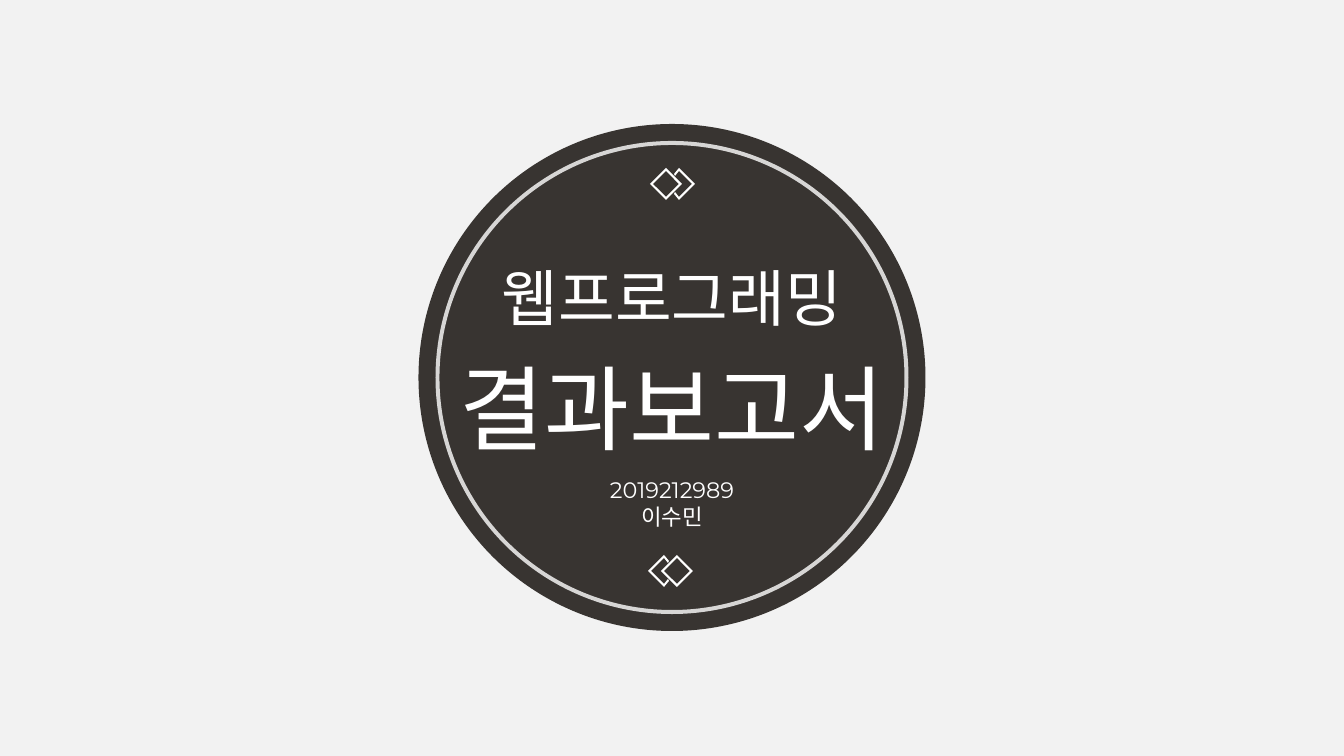
from lxml.etree import SubElement
from pptx import Presentation
from pptx.dml.color import RGBColor
from pptx.enum.shapes import MSO_SHAPE
from pptx.enum.text import MSO_ANCHOR, PP_ALIGN
from pptx.oxml.ns import qn
from pptx.util import Pt

EMU_PER_PX = 914400 / 100.8
WIDTH, HEIGHT = 1344, 756
CENTER_X = WIDTH // 2
WHITE = RGBColor(0xFF, 0xFF, 0xFF)
CHARCOAL = RGBColor(0x38, 0x34, 0x31)
LIGHT_GRAY = RGBColor(0xF2, 0xF2, 0xF2)

CHEVRON = [(0, 13), (-13, 0), (0, -13), (4, -8), (5, -10),
           (0, -16), (-16, 0), (0, 16), (5, 10), (4, 8)]


def px(n):
    return round(n * EMU_PER_PX)


def diamond(radius, turn=1):
    """Corner points around the origin; turn -1 reverses their order."""
    return [(0, -radius), (-turn * radius, 0), (0, radius), (turn * radius, 0)]


class Cover:
    """Draws white elements centred on the cover slide."""

    def __init__(self, prs):
        self.slide = prs.slides.add_slide(prs.slide_layouts[6])
        self.shapes = self.slide.shapes
        fill = self.slide.background.fill
        fill.solid()
        fill.fore_color.rgb = LIGHT_GRAY

    def paint(self, sp, color):
        sp.shadow.inherit = False
        sp.fill.solid()
        sp.fill.fore_color.rgb = color
        sp.line.fill.background()
        return sp

    def round_shape(self, kind, top, size, color):
        sp = self.shapes.add_shape(kind, px(CENTER_X - size / 2), px(top),
                                   px(size), px(size))
        return self.paint(sp, color)

    def ring(self, top, size, thickness, opacity):
        sp = self.round_shape(MSO_SHAPE.DONUT, top, size, WHITE)
        sp.adjustments[0] = thickness / size
        color = sp.fill._xPr.find(qn("a:solidFill"))[0]
        SubElement(color, qn("a:alpha"), val=str(opacity * 1000))

    def outline(self, x, y, *contours):
        """Fill the closed contours, given relative to (x, y)."""
        placed = [[(x + dx, y + dy) for dx, dy in c] for c in contours]
        builder = self.shapes.build_freeform(*placed[0][0], scale=EMU_PER_PX)
        for i, points in enumerate(placed):
            if i:
                builder.move_to(*points[0])
            builder.add_line_segments(points[1:], close=True)
        self.paint(builder.convert_to_shape(), WHITE)

    def ornament(self, x, y, side):
        """A diamond with a chevron behind it: side -1 left, 1 right."""
        chevron = [(-side * dx, dy) for dx, dy in CHEVRON]
        self.outline(x + side * 13, y, chevron)
        self.outline(x, y, diamond(16), diamond(13, -1))

    def text(self, words, top, width, height, size, font, wrap=False):
        box = self.shapes.add_textbox(px(CENTER_X - width / 2), px(top),
                                      px(width), px(height))
        tf = box.text_frame
        tf.word_wrap = wrap
        tf.vertical_anchor = MSO_ANCHOR.TOP
        p = tf.paragraphs[0]
        p.alignment = PP_ALIGN.CENTER
        r = p.add_run()
        r.text = words
        for name, value in {"size": Pt(size), "name": font}.items():
            setattr(r.font, name, value)
        r.font.color.rgb = WHITE


def main():
    prs = Presentation()
    prs.slide_width, prs.slide_height = px(WIDTH), px(HEIGHT)
    cover = Cover(prs)
    cover.round_shape(MSO_SHAPE.OVAL, 124, 507, CHARCOAL)
    cover.ring(top=141, size=473, thickness=4, opacity=80)
    cover.ornament(677, 571, side=-1)
    cover.ornament(666, 184, side=1)
    cover.text("2019212989 이수민", 471, 204, 37, 16, "Montserrat", wrap=True)
    cover.text("웹프로그래밍", 255, 393, 85, 44, "Calibri")
    cover.text("결과보고서", 346, 487, 122, 66, "Calibri")
    prs.save("out.pptx")


if __name__ == "__main__":
    main()
